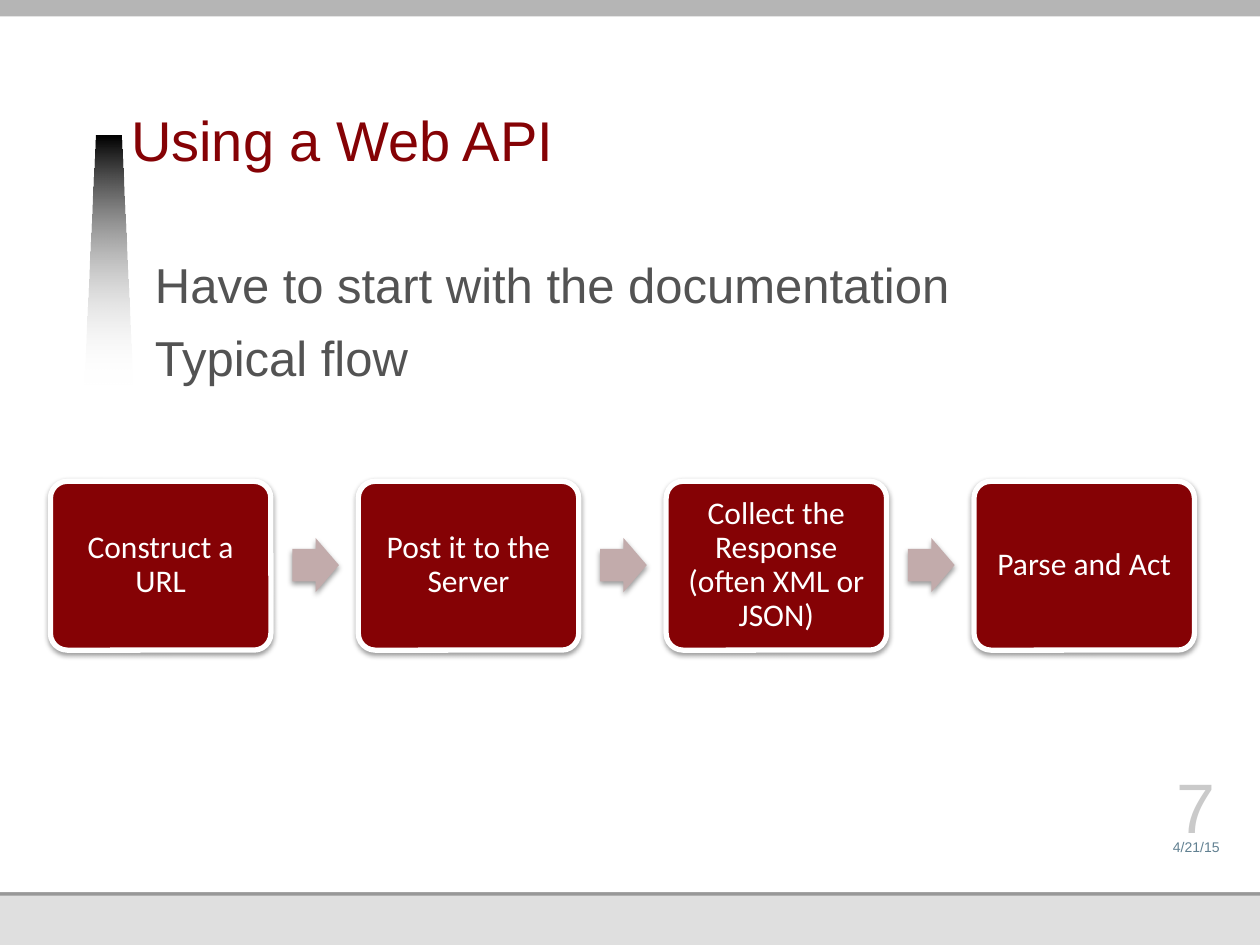
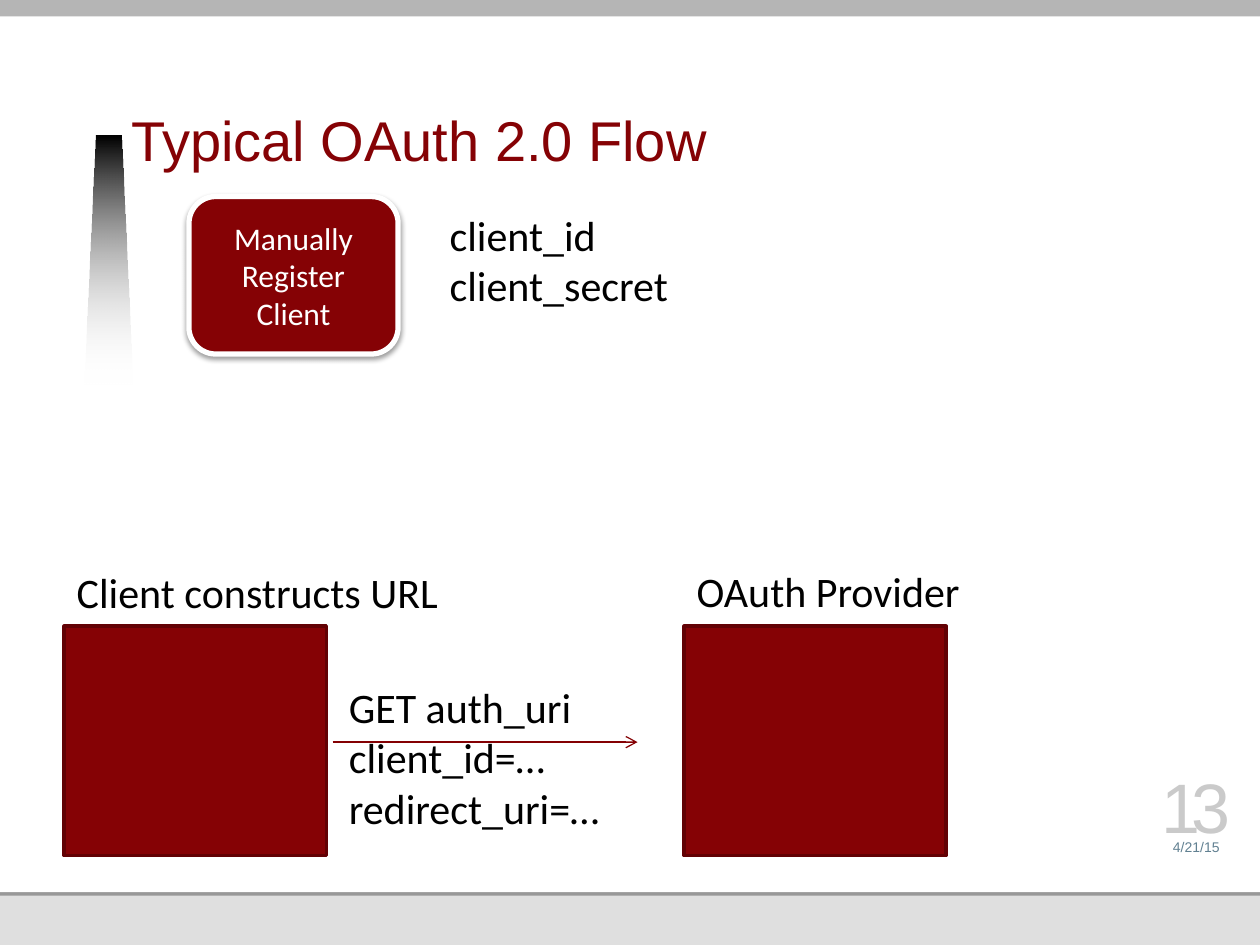
from lxml import etree
from pptx import Presentation
from pptx.dml.color import RGBColor
from pptx.enum.shapes import MSO_CONNECTOR, MSO_SHAPE
from pptx.enum.text import MSO_ANCHOR, PP_ALIGN
from pptx.oxml.ns import qn
from pptx.util import Inches, Pt

RECTANGLE = MSO_SHAPE.RECTANGLE
ROUNDED = MSO_SHAPE.ROUNDED_RECTANGLE
RIGHT_ARROW = MSO_SHAPE.RIGHT_ARROW
STRAIGHT = MSO_CONNECTOR.STRAIGHT
TOP, MIDDLE, BOTTOM = MSO_ANCHOR.TOP, MSO_ANCHOR.MIDDLE, MSO_ANCHOR.BOTTOM
LEFT, CENTER = PP_ALIGN.LEFT, PP_ALIGN.CENTER

BLACK = RGBColor(0x00, 0x00, 0x00)
WHITE = RGBColor(0xFF, 0xFF, 0xFF)
MAROON = RGBColor(0x85, 0x02, 0x05)
DARK_MAROON = RGBColor(0x62, 0x01, 0x04)
LINE_MAROON = RGBColor(0x84, 0x00, 0x03)
ARROW_PINK = RGBColor(0xC2, 0xAB, 0xAB)
TOP_GRAY = RGBColor(0xB5, 0xB5, 0xB5)
RULE_GRAY = RGBColor(0x98, 0x98, 0x98)
FOOTER_GRAY = RGBColor(0xDF, 0xDF, 0xDF)
BODY_GRAY = RGBColor(0x53, 0x53, 0x53)
NUMBER_GRAY = RGBColor(0xCA, 0xCA, 0xCA)
DATE_BLUE = RGBColor(0x61, 0x80, 0x91)

TITLE = {"name": "Arial", "size": Pt(32), "color": MAROON}
BODY = {"name": "Arial", "size": Pt(28), "color": BODY_GRAY}
DATE = {"name": "Arial", "size": Pt(8), "color": DATE_BLUE}
NUMBER = {"name": "Arial", "size": Pt(40), "color": NUMBER_GRAY}
LABEL = {"name": "Calibri", "size": Pt(24), "color": BLACK}
BOX_TEXT = {"name": "Calibri", "size": Pt(18), "color": WHITE}

DEFAULT_INSETS = (0.1, 0.05, 0.1, 0.05)
BANDS = [
    (0, 7.5, FOOTER_GRAY),
    (1.78, 5.33, RULE_GRAY),
    (0, 7.08, WHITE),
    (0, 0.13, TOP_GRAY),
]
FLOW_STEPS = [
    "Construct a URL",
    "Post it to the Server",
    "Collect the Response (often XML or JSON)",
    "Parse and Act",
]
FLOW_LEFT, FLOW_LAST, ARROW_OFFSET = 0.4, 7.73, 1.92
FLOW_PITCH = (FLOW_LAST - FLOW_LEFT) / (len(FLOW_STEPS) - 1)


def set_text(shape, lines, style, anchor=TOP, align=LEFT, insets=DEFAULT_INSETS,
             wrap=True, spacing=None, after=None):
    frame = shape.text_frame
    frame.word_wrap = wrap
    frame.vertical_anchor = anchor
    for side, inset in zip(("left", "top", "right", "bottom"), insets):
        setattr(frame, f"margin_{side}", Inches(inset))
    for index, line in enumerate(lines):
        paragraph = frame.paragraphs[0] if index == 0 else frame.add_paragraph()
        paragraph.alignment = align
        paragraph.line_spacing = spacing
        paragraph.space_after = after
        run = paragraph.add_run()
        run.text = line
        for attribute, value in style.items():
            if attribute == "color":
                run.font.color.rgb = value
            else:
                setattr(run.font, attribute, value)


def add_text(slide, box, lines, style, **layout):
    shape = slide.shapes.add_textbox(*map(Inches, box))
    set_text(shape, lines, style, **layout)
    return shape


def add_filled(slide, kind, box, fill, line=None, width=0):
    shape = slide.shapes.add_shape(kind, *map(Inches, box))
    shape.shadow.inherit = False
    shape.fill.solid()
    shape.fill.fore_color.rgb = fill
    if line is None:
        shape.line.fill.background()
    else:
        shape.line.color.rgb = line
        shape.line.width = Pt(width)
    return shape


def add_shadow(shape):
    effects = shape._element.spPr.find(qn("a:effectLst"))
    shadow = etree.SubElement(effects, qn("a:outerShdw"), blurRad=str(Pt(3.1)),
                              dist=str(Pt(1.6)), dir="5400000", rotWithShape="0")
    color = etree.SubElement(shadow, qn("a:srgbClr"), val=str(BLACK))
    etree.SubElement(color, qn("a:alpha"), val="38000")


def add_step_box(slide, box, text, corner, **layout):
    shape = add_filled(slide, ROUNDED, box, MAROON, WHITE, 3)
    shape.adjustments[0] = corner
    add_shadow(shape)
    set_text(shape, [text], BOX_TEXT, anchor=MIDDLE, align=CENTER, **layout)


def add_flow_arrow(slide, box):
    arrow = add_filled(slide, RIGHT_ARROW, box, ARROW_PINK)
    arrow.adjustments[0] = 0.6
    arrow.adjustments[1] = 0.5
    add_shadow(arrow)


def add_request_arrow(slide, left, right, top):
    arrow = slide.shapes.add_connector(
        STRAIGHT, Inches(left), Inches(top), Inches(right), Inches(top))
    arrow.line.color.rgb = LINE_MAROON
    arrow.line.width = Pt(0.75)
    etree.SubElement(arrow.line._get_or_add_ln(), qn("a:tailEnd"), type="arrow")
    etree.SubElement(arrow._element.spPr, qn("a:effectLst"))


def add_fading_wedge(slide):
    corners = [(0.67, 3.05), (0.76, 1.08), (0.96, 1.08), (1.05, 3.05)]
    points = [(Inches(x), Inches(y)) for x, y in corners]
    builder = slide.shapes.build_freeform(*points[0])
    builder.add_line_segments(points[1:], close=True)
    wedge = builder.convert_to_shape()
    wedge.shadow.inherit = False
    wedge.line.fill.background()
    wedge.fill.gradient()
    wedge.fill.gradient_angle = 270
    for stop, color, position in zip(wedge.fill.gradient_stops, (BLACK, WHITE), (0, 1)):
        stop.color.rgb = color
        stop.position = position
    last_color = list(wedge._element.spPr.iter(qn("a:srgbClr")))[-1]
    etree.SubElement(last_color, qn("a:alpha"), val="0")


def add_base_slide(presentation, title, number):
    slide = presentation.slides.add_slide(presentation.slide_layouts[6])
    for top, height, color in BANDS:
        add_filled(slide, RECTANGLE, (0, top, 10, height), color)
    add_fading_wedge(slide)
    add_text(slide, (1.04, 0.34, 6.87, 1.08), [title], TITLE, anchor=BOTTOM,
             insets=(0, 0, 0, 0.05), spacing=Pt(34))
    footer = {"anchor": BOTTOM, "align": CENTER, "insets": (0, 0, 0, 0)}
    add_text(slide, (9.13, 6.57, 0.73, 0.22), ["4/21/15"], DATE, **footer)
    page = add_text(slide, (9.13, 6.17, 0.73, 0.56), [number], NUMBER, **footer)
    page.text_frame.paragraphs[0].runs[0].font._element.set("spc", "-500")
    return slide


def add_web_api_slide(presentation):
    slide = add_base_slide(presentation, "Using a Web API", "7")
    add_text(slide, (1.23, 2.02, 7.71, 4.79),
             ["Have to start with the documentation", "Typical flow"], BODY,
             insets=(0, 0, 0, 0.05), after=Pt(8))
    for index, step in enumerate(FLOW_STEPS):
        left = FLOW_LEFT + index * FLOW_PITCH
        add_step_box(slide, (left, 3.82, 1.75, 1.34), step, 0.1,
                     insets=(0.07,) * 4, spacing=0.9)
        if index < len(FLOW_STEPS) - 1:
            add_flow_arrow(slide, (left + ARROW_OFFSET, 4.27, 0.37, 0.43))


def add_oauth_slide(presentation):
    slide = add_base_slide(presentation, "Typical OAuth 2.0 Flow", "13")
    add_text(slide, (2.67, 5.36, 2.24, 1.31),
             ["GET auth_uri", "client_id=…", "redirect_uri=…"], LABEL, wrap=False)
    add_step_box(slide, (1.5, 1.56, 1.66, 1.25), "Manually Register Client", 0.17)
    labels = [
        ((3.47, 1.61, 1.96, 0.91), ["client_id", "client_secret"]),
        ((0.51, 4.45, 3.11, 0.5), ["Client constructs URL"]),
        ((5.43, 4.44, 2.32, 0.5), ["OAuth Provider"]),
    ]
    for box, lines in labels:
        label = add_filled(slide, RECTANGLE, box, WHITE)
        set_text(label, lines, LABEL, wrap=False)
    for left in (0.51, 5.43):
        add_filled(slide, RECTANGLE, (left, 4.97, 2.08, 1.82), MAROON, DARK_MAROON, 2)
    add_request_arrow(slide, 2.64, 5.06, 5.89)


def main():
    presentation = Presentation()
    presentation.slide_width = Inches(10)
    presentation.slide_height = Inches(7.5)
    add_web_api_slide(presentation)
    add_oauth_slide(presentation)
    presentation.save("out.pptx")


if __name__ == "__main__":
    main()
